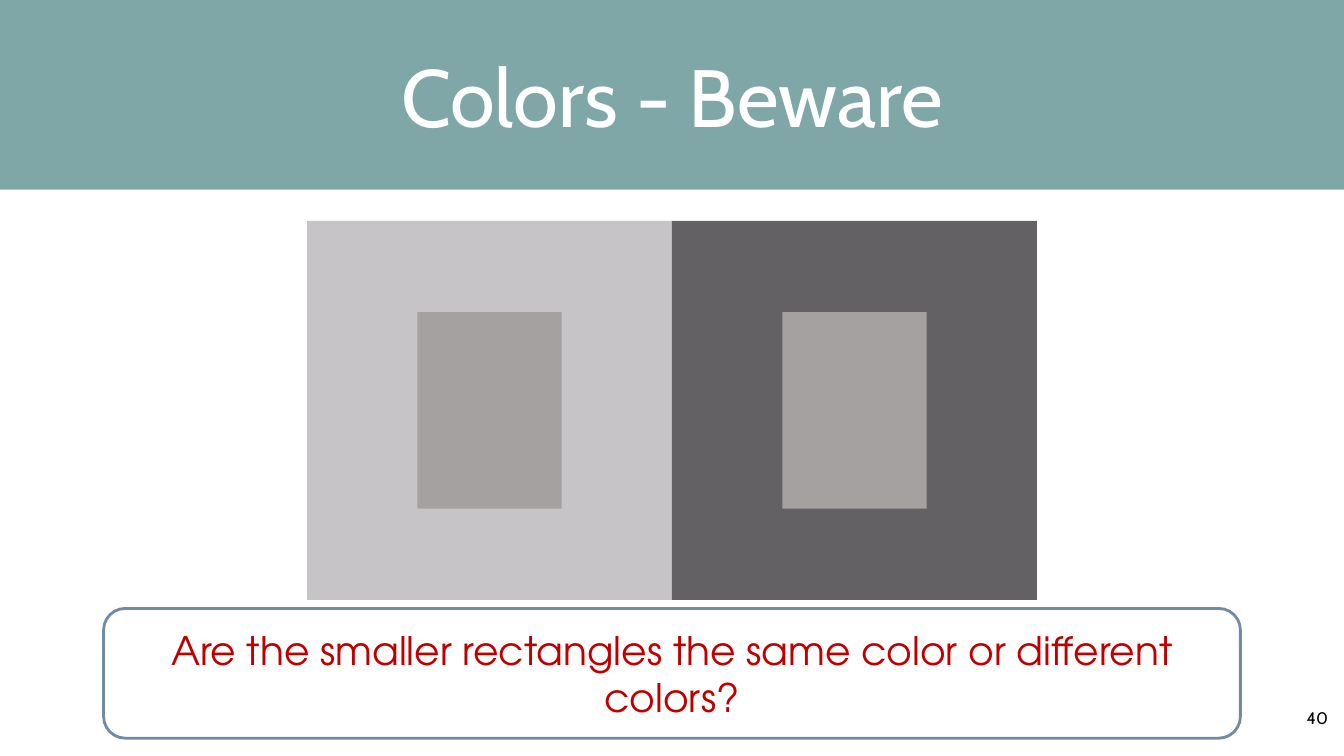
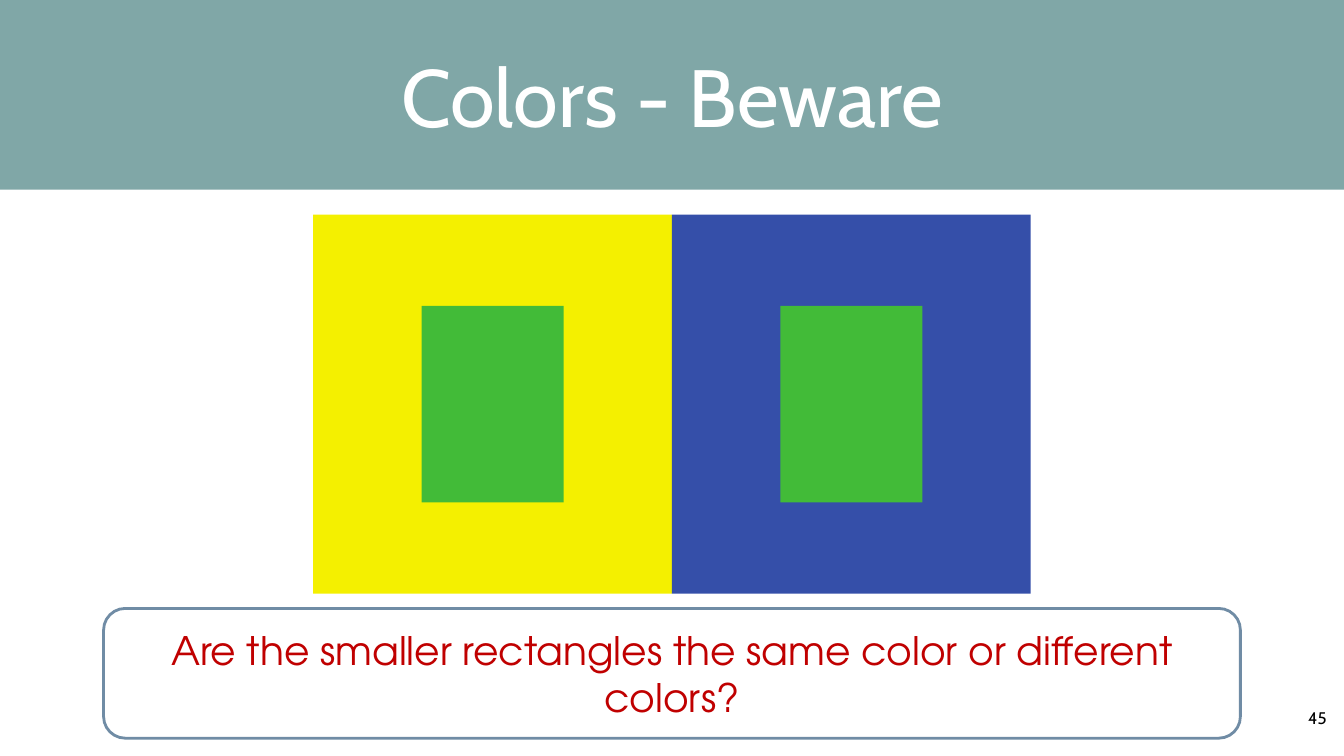
import dataclasses

import pptx
import pptx.dml.color
import pptx.enum.shapes
import pptx.enum.text
import pptx.util

Pt = pptx.util.Pt
SHAPE = pptx.enum.shapes.MSO_SHAPE
ANCHOR = pptx.enum.text.MSO_ANCHOR
FIT = pptx.enum.text.MSO_AUTO_SIZE


@dataclasses.dataclass(frozen=True)
class Theme:
    width: float = 960
    height: float = 540
    band: str = "80A7A7"
    title: str = "FFFFFF"
    paper: str = "FFFFFF"
    outline: str = "708CA5"
    question: str = "C00000"
    number: str = "000000"
    heading_font: str = "Cabin"
    body_font: str = "TeX Gyre Adventor"
    title_size: float = 58
    question_size: float = 28
    number_size: float = 12


THEME = Theme()
TITLE = "Colors - Beware"
QUESTION = "Are the smaller rectangles the same color or different colors?"
FIELD_HEIGHT = 270.7
SWATCH_HEIGHT = 140.4

COMPARISONS = [
    {"number": "40", "top": 157.8, "field_width": 260.7, "swatch_width": 103.1,
     "fields": ["C6C4C6", "636163"], "swatch": "A5A1A1"},
    {"number": "45", "top": 153.4, "field_width": 256.3, "swatch_width": 101.4,
     "fields": ["F4F000", "354FA9"], "swatch": "42BB38"},
]


def rgb(value):
    return pptx.dml.color.RGBColor.from_string(value)


def set_format(target, values):
    for name, value in values.items():
        setattr(target, name, value)


def margins(points):
    sides = ("left", "top", "right", "bottom")
    return {f"margin_{side}": Pt(points) for side in sides}


def add_block(shapes, kind, left, top, width, height, fill, outline=None):
    block = shapes.add_shape(kind, Pt(left), Pt(top), Pt(width), Pt(height))
    block.shadow.inherit = False
    block.fill.solid()
    block.fill.fore_color.rgb = rgb(fill)
    if outline:
        block.line.color.rgb = rgb(outline)
        block.line.width = Pt(2)
    else:
        block.line.fill.background()
    return block


def write_centered(holder, text, font, size, color, frame_format):
    frame = holder.text_frame
    set_format(frame, frame_format)
    paragraph = frame.paragraphs[0]
    paragraph.alignment = pptx.enum.text.PP_ALIGN.CENTER
    run = paragraph.add_run()
    run.text = text
    set_format(run.font, {"name": font, "size": Pt(size)})
    run.font.color.rgb = rgb(color)


def add_page_number(slide, number):
    corner = slide.shapes.add_textbox(Pt(925), Pt(501.8), Pt(32), Pt(22.3))
    write_centered(corner, number, THEME.heading_font, THEME.number_size, THEME.number,
                   {"word_wrap": False, "auto_size": FIT.NONE,
                    "vertical_anchor": ANCHOR.BOTTOM, **margins(4)})


def add_title_band(slide):
    band = add_block(slide.shapes, SHAPE.RECTANGLE, 0, 0, THEME.width, 135.4, THEME.band)
    write_centered(band, TITLE, THEME.heading_font, THEME.title_size, THEME.title,
                   {"word_wrap": True, "vertical_anchor": ANCHOR.MIDDLE, **margins(2)})


def add_comparison(slide, top, field_width, swatch_width, fields, swatch):
    """Two fields meet at the slide's centre line, each with the same swatch in its middle."""
    group = slide.shapes.add_group_shape()
    lefts = [THEME.width / 2 - field_width, THEME.width / 2]
    for left, color in zip(lefts, fields):
        add_block(group.shapes, SHAPE.RECTANGLE, left, top, field_width, FIELD_HEIGHT, color)
    inset_x = (field_width - swatch_width) / 2
    inset_y = (FIELD_HEIGHT - SWATCH_HEIGHT) / 2
    for left in lefts:
        add_block(group.shapes, SHAPE.RECTANGLE, left + inset_x, top + inset_y,
                  swatch_width, SWATCH_HEIGHT, swatch)


def add_question(slide):
    width = 812
    panel = add_block(slide.shapes, SHAPE.FLOWCHART_ALTERNATE_PROCESS,
                      (THEME.width - width) / 2, 434.6, width, 92.7,
                      THEME.paper, THEME.outline)
    write_centered(panel, QUESTION, THEME.body_font, THEME.question_size, THEME.question,
                   {"word_wrap": True, "vertical_anchor": ANCHOR.MIDDLE})


def main():
    deck = pptx.Presentation()
    set_format(deck, {"slide_width": Pt(THEME.width), "slide_height": Pt(THEME.height)})
    for comparison in COMPARISONS:
        slide = deck.slides.add_slide(deck.slide_layouts[6])
        squares = dict(comparison)
        add_page_number(slide, squares.pop("number"))
        add_title_band(slide)
        add_comparison(slide, **squares)
        add_question(slide)
    deck.save("out.pptx")


if __name__ == "__main__":
    main()
